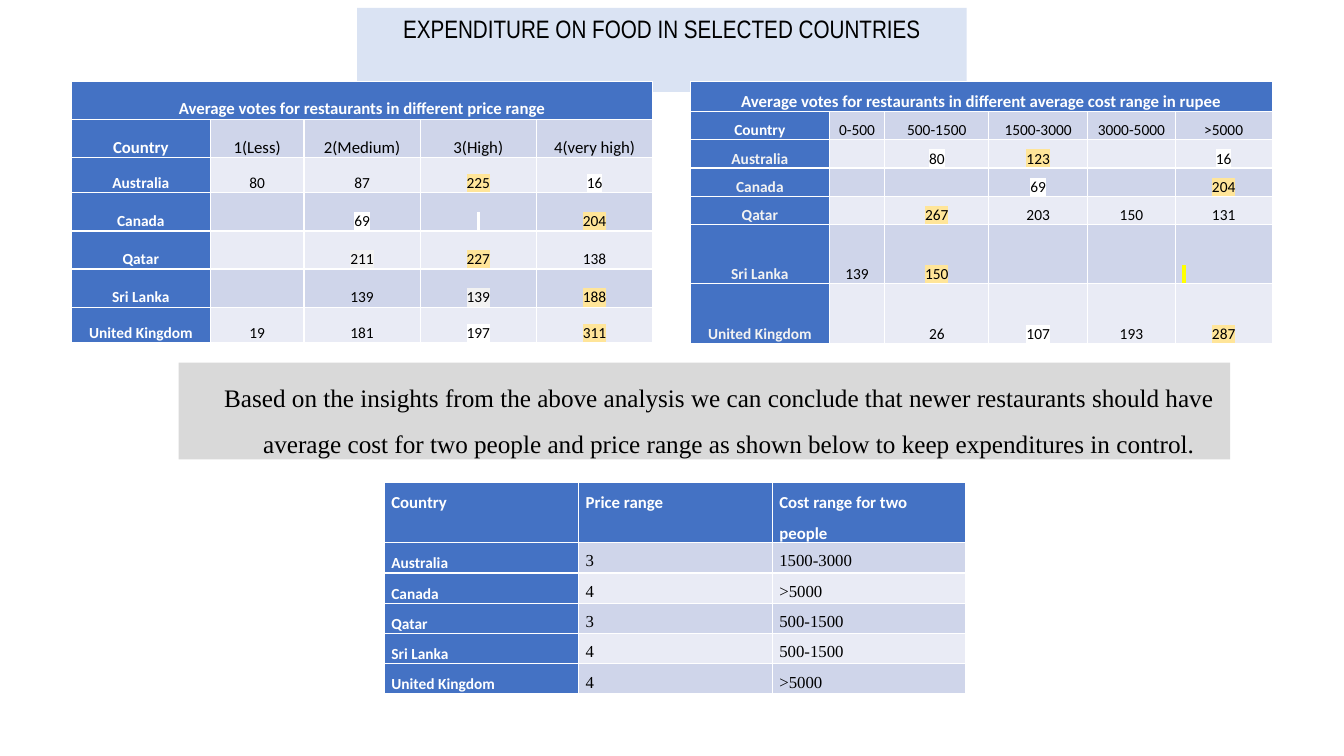
from dataclasses import dataclass

from lxml.etree import SubElement
from pptx import Presentation
from pptx.dml.color import RGBColor
from pptx.enum.text import MSO_ANCHOR, MSO_AUTO_SIZE, PP_ALIGN
from pptx.oxml import parse_xml
from pptx.oxml.ns import nsdecls, qn
from pptx.util import Cm, Pt

TITLE = "EXPENDITURE ON FOOD IN SELECTED COUNTRIES"
CONCLUSION = (
    "Based on the insights from the above analysis we can conclude that newer "
    "restaurants should have average cost for two people and price range as "
    "shown below to keep expenditures in control."
)

# A cell is plain text, or a (text, highlight name) pair.
PRICE_VOTES = [
    ["Average votes for restaurants in different price range"],
    ["Country", "1(Less)", "2(Medium)", "3(High)", "4(very high)"],
    ["Australia", "80", "87", ("225", "best"), ("16", "white")],
    ["Canada", "", ("69", "white"), (" ", "white"), ("204", "best")],
    ["Qatar", "", ("211", "pale"), ("227", "best"), "138"],
    ["Sri Lanka", "", "139", ("139", "pale"), ("188", "best")],
    ["United Kingdom", "19", "181", ("197", "white"), ("311", "best")],
]
COST_VOTES = [
    ["Average votes for restaurants in different average cost range in rupee"],
    ["Country", "0-500", "500-1500", "1500-3000", "3000-5000", ">5000"],
    ["Australia", "", ("80", "white"), ("123", "best"), "", ("16", "white")],
    ["Canada", "", "", ("69", "white"), "", ("204", "best")],
    ["Qatar", "", ("267", "best"), "203", "150", "131"],
    ["Sri Lanka", "139", ("150", "best"), "", "", (" ", "mark")],
    ["United Kingdom", "", "26", ("107", "white"), "193", ("287", "best")],
]
ADVICE = [
    ["Country", "Price range", "Cost range for two people"],
    ["Australia", "3", "1500-3000"],
    ["Canada", "4", ">5000"],
    ["Qatar", "3", "500-1500"],
    ["Sri Lanka", "4", "500-1500"],
    ["United Kingdom", "4", ">5000"],
]


@dataclass(frozen=True)
class Theme:
    blue: str = "4472C4"
    bands: tuple = ("E9EBF5", "CFD5EA")
    title_fill: str = "DAE3F3"
    conclusion_fill: str = "D9D9D9"
    white: str = "FFFFFF"
    pale: str = "F2F2F2"
    black: str = "000000"
    best: str = "FFE599"
    mark: str = "FFFF00"
    title_font: str = "Arial Narrow"
    table_font: str = "Calibri"
    serif_font: str = "Times New Roman"
    large: int = 18
    medium: int = 12
    small: int = 11


THEME = Theme()


@dataclass(frozen=True)
class TableLook:
    """Place and style of one table; lengths are in centimetres."""
    left: float
    top: float
    columns: tuple
    rows: tuple
    large_rows: int
    label_color: str = THEME.white
    value_font: str = THEME.table_font
    value_size: int = THEME.small
    align: PP_ALIGN = PP_ALIGN.CENTER
    header_anchor: MSO_ANCHOR = MSO_ANCHOR.TOP
    value_anchor: MSO_ANCHOR = MSO_ANCHOR.BOTTOM


TABLES = [
    (PRICE_VOTES, TableLook(
        1.8, 2.05, (3.5, 2.36, 2.93, 2.93, 2.93),
        (0.96, 0.96, 0.89, 0.96, 0.96, 0.96, 0.89),
        large_rows=2, header_anchor=MSO_ANCHOR.BOTTOM)),
    (COST_VOTES, TableLook(
        17.4, 2.05, (3.5, 1.4, 2.62, 2.49, 2.21, 2.44),
        (0.76, 0.71, 0.71, 0.71, 0.71, 1.5, 1.5),
        large_rows=1, label_color=THEME.pale)),
    (ADVICE, TableLook(
        9.68, 12.15, (4.9, 4.88, 4.88), (1.5,) + (0.76,) * 5,
        large_rows=1, value_font=THEME.serif_font, value_size=THEME.medium,
        align=PP_ALIGN.LEFT, value_anchor=MSO_ANCHOR.TOP)),
]


def paint(target, color):
    target.fill.solid()
    target.fill.fore_color.rgb = RGBColor.from_string(color)


def add_span(para, text, font, size, color, bold=False, highlight=None):
    span = para.add_run()
    span.text = text
    span.font.name = font
    span.font.size = Pt(size)
    span.font.bold = bold
    span.font.color.rgb = RGBColor.from_string(color)
    if highlight:
        mark = parse_xml(
            f'<a:highlight {nsdecls("a")}><a:srgbClr val="{highlight}"/></a:highlight>')
        span.font._element.find(qn("a:latin")).addprevious(mark)


def space_out(para, align):
    para.alignment = align
    para.line_spacing = 1.5
    para.space_after = Pt(8)


def fill_cell(cell, content, row, column, look):
    text, highlight = content if isinstance(content, tuple) else (content, None)
    is_header = row == 0
    is_label = is_header or column == 0
    size = look.value_size
    if row < look.large_rows:
        size = THEME.medium
    elif is_label:
        size = THEME.small
    color = THEME.black
    if is_label:
        color = look.label_color if row > 1 else THEME.white

    paint(cell, THEME.blue if is_label else THEME.bands[row % 2])
    cell.margin_left = cell.margin_right = Cm(0.18)
    cell.margin_top = cell.margin_bottom = 0
    cell.vertical_anchor = MSO_ANCHOR.BOTTOM if is_label else look.value_anchor
    if is_header:
        cell.vertical_anchor = look.header_anchor
    para = cell.text_frame.paragraphs[0]
    space_out(para, PP_ALIGN.LEFT if highlight == "mark" else look.align)
    if text:
        add_span(para, text, THEME.table_font if is_label else look.value_font,
                 size, color, is_label, highlight and getattr(THEME, highlight))
    else:
        SubElement(para._p, qn("a:endParaRPr"), sz=str(size * 100))


def add_data_table(page, data, look):
    table = page.shapes.add_table(
        len(look.rows), len(look.columns), Cm(look.left), Cm(look.top),
        Cm(sum(look.columns)), Cm(sum(look.rows))).table
    table.first_col = True
    for column, width in zip(table.columns, look.columns):
        column.width = Cm(width)
    for row, height in zip(table.rows, look.rows):
        row.height = Cm(height)
    if len(data[0]) == 1:
        table.cell(0, 0).merge(table.cell(0, len(look.columns) - 1))
    for row, contents in enumerate(data):
        for column, content in enumerate(contents):
            fill_cell(table.cell(row, column), content, row, column, look)


def place(box, left, top, width, height, fill):
    box.left, box.top, box.width, box.height = map(Cm, (left, top, width, height))
    paint(box, fill)
    box.text_frame.word_wrap = True
    box.text_frame.auto_size = MSO_AUTO_SIZE.SHAPE_TO_FIT_TEXT
    box.text_frame.vertical_anchor = MSO_ANCHOR.TOP


def add_title(page):
    box = page.shapes.title
    place(box, 9, 0.2, 15.36, 1.03, THEME.title_fill)
    para = box.text_frame.paragraphs[0]
    para.alignment = PP_ALIGN.CENTER
    add_span(para, TITLE, THEME.title_font, THEME.large, THEME.black)


def add_conclusion(page):
    box = page.shapes.add_textbox(0, 0, 0, 0)
    place(box, 4.5, 9.14, 26.5, 2.44, THEME.conclusion_fill)
    para = box.text_frame.paragraphs[0]
    space_out(para, PP_ALIGN.CENTER)
    properties = para._p.get_or_add_pPr()
    properties.set("marL", str(Cm(1.25)))
    properties.set("indent", str(Cm(-0.5)))
    add_span(para, CONCLUSION, THEME.serif_font, THEME.large, THEME.black)


def main():
    deck = Presentation()
    deck.slide_width, deck.slide_height = Cm(33.87), Cm(19.05)
    page = deck.slides.add_slide(deck.slide_layouts.get_by_name("Title Only"))
    add_title(page)
    for data, look in TABLES:
        add_data_table(page, data, look)
    add_conclusion(page)
    deck.save("out.pptx")


if __name__ == "__main__":
    main()
